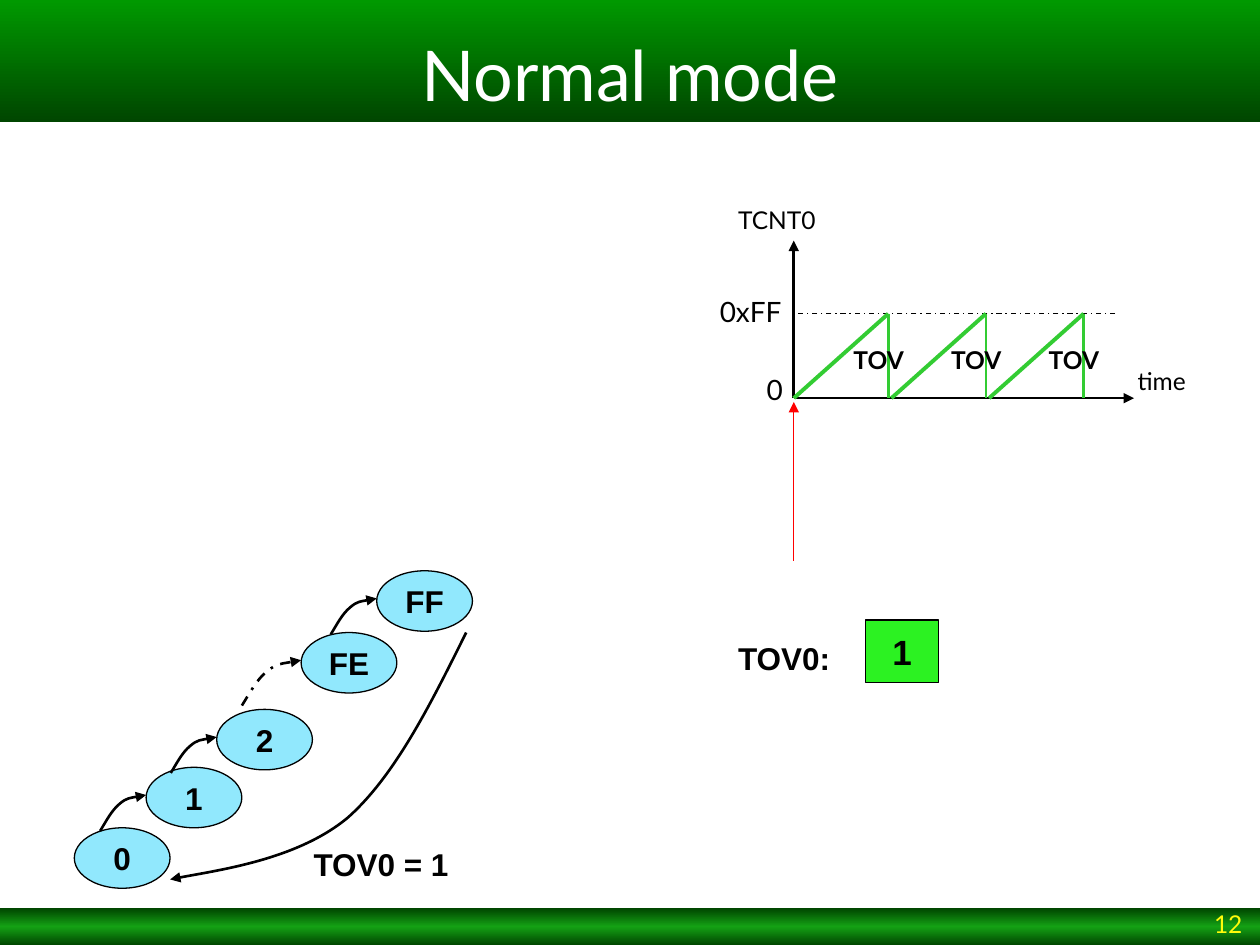
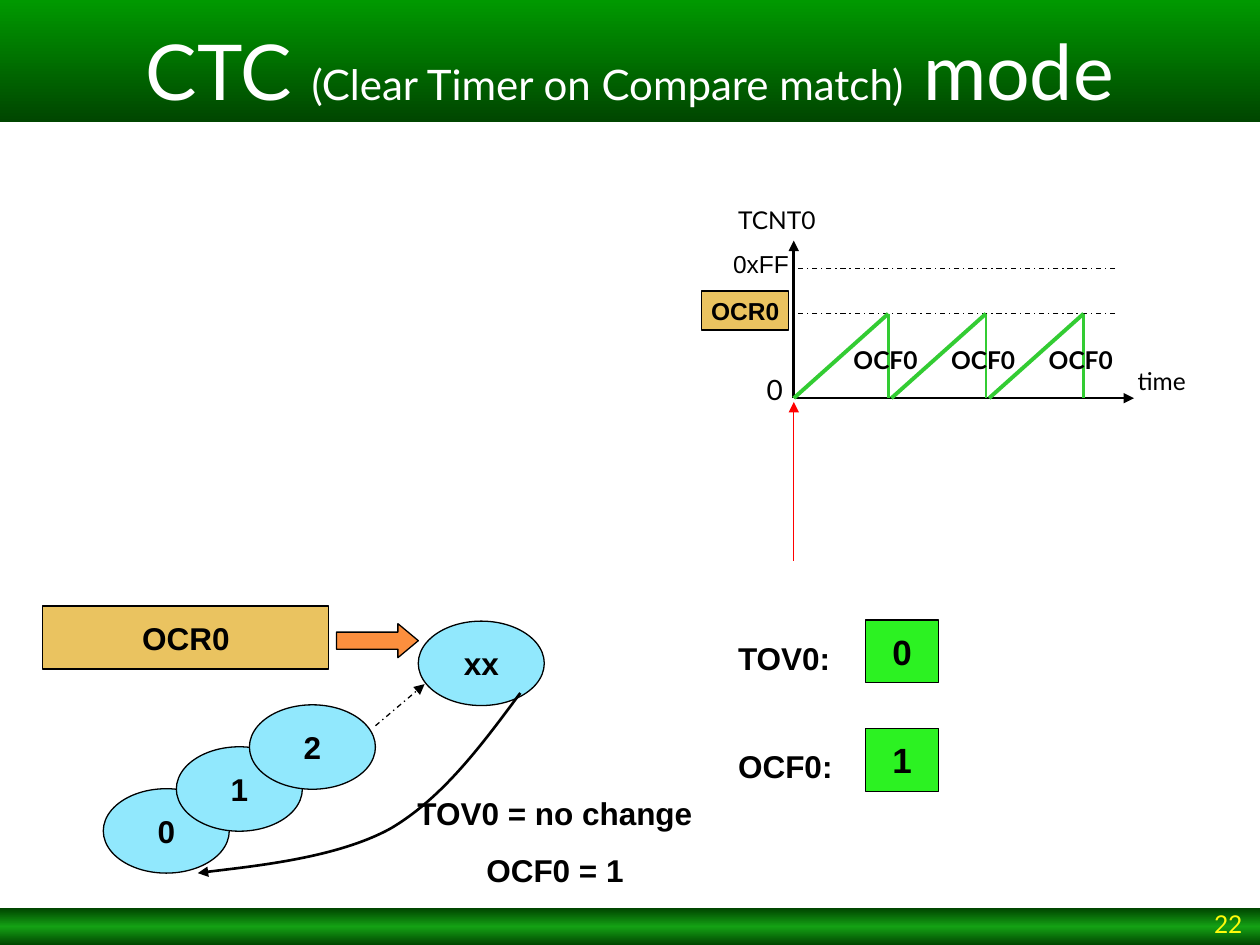
from copy import deepcopy
from dataclasses import dataclass

from lxml import etree
from pptx import Presentation
from pptx import util as u
from pptx.dml.color import RGBColor
from pptx.enum import dml, shapes, text
from pptx.oxml.ns import qn

# The slide is a grid of 100 columns and 75 rows; every length is in cells.
CELL = u.Inches(0.1)
COLUMNS, ROWS = 100, 75

BLACK = RGBColor(0x00, 0x00, 0x00)
WHITE = RGBColor(0xFF, 0xFF, 0xFF)
RED = RGBColor(0xFF, 0x00, 0x00)
YELLOW = RGBColor(0xFF, 0xFB, 0x0B)
BAND_GREEN = RGBColor(0x00, 0x99, 0x00)
BAND_GLOW = RGBColor(0x14, 0xA1, 0x14)
BAND_DARK = RGBColor(0x00, 0x46, 0x00)
RAMP_GREEN = RGBColor(0x33, 0xCC, 0x33)
FLAG_GREEN = RGBColor(0x2C, 0xF2, 0x22)
STATE_BLUE = RGBColor(0x91, 0xE8, 0xFD)
REGISTER_GOLD = RGBColor(0xEA, 0xC3, 0x60)
ARROW_ORANGE = RGBColor(0xFC, 0x8F, 0x3E)

HEAD_FONT, BODY_FONT = "Lato", "Arial"
LEFT, CENTER, RIGHT = text.PP_ALIGN.LEFT, text.PP_ALIGN.CENTER, text.PP_ALIGN.RIGHT
MIDDLE, BOTTOM = text.MSO_ANCHOR.MIDDLE, text.MSO_ANCHOR.BOTTOM
KIND = shapes.MSO_SHAPE

# Curves as shares of their box: a start, then three points per Bezier piece.
HOP = [(0, 1), (0.14, 0.71), (0.25, 0.43), (0.42, 0.25),
       (0.58, 0.07), (0.89, 0.03), (1, 0)]
RETURN = [(1, 0), (0.88, 0.29), (0.76, 0.58), (0.6, 0.75),
          (0.43, 0.92), (0.12, 0.97), (0, 1)]


@dataclass
class Box:
    left: float
    top: float
    width: float
    height: float

    def inset(self, x, y, width, height):
        """A box whose corner is x, y cells from this one's corner."""
        return Box(self.left + x, self.top + y, width, height)

    def point(self, x, y):
        return self.left + x, self.top + y

    def emu(self):
        return [cells(v) for v in (self.left, self.top, self.width, self.height)]


def cells(count):
    return round(count * CELL)


def write(frame, *paragraphs, size=18, font=BODY_FONT, color=BLACK, bold=False,
          align=LEFT, anchor=text.MSO_ANCHOR.TOP, wrap=True, before=0):
    """Fill a frame; a paragraph is a string or a list of (string, size) runs."""
    frame.word_wrap = wrap
    frame.vertical_anchor = anchor
    for i, content in enumerate(paragraphs):
        line = frame.add_paragraph() if i else frame.paragraphs[0]
        line.alignment = align
        line.space_before = u.Pt(before)
        runs = [(content, size)] if isinstance(content, str) else content
        for words, run_size in runs:
            run = line.add_run()
            run.text = words
            run.font.size = u.Pt(run_size)
            run.font.name = font
            run.font.bold = bold
            run.font.color.rgb = color


def label(slide, box, *paragraphs, size=18, **style):
    frame = slide.shapes.add_textbox(*box.emu()).text_frame
    write(frame, *paragraphs, size=size, before=0.625 * size, **style)


def block(slide, kind, box, fill, caption=None, size=18):
    """A filled, thinly outlined shape with an optional bold caption."""
    shape = slide.shapes.add_shape(kind, *box.emu())
    shape.shadow.inherit = False
    shape.fill.solid()
    shape.fill.fore_color.rgb = fill
    shape.line.color.rgb = BLACK
    shape.line.width = u.Pt(0.75)
    if caption:
        write(shape.text_frame, caption, size=size, bold=True, align=CENTER,
              anchor=MIDDLE, wrap=False)
    return shape


def band(slide, box, colors):
    """A strip shaded from top to bottom through evenly spaced colours."""
    strip = slide.shapes.add_shape(KIND.RECTANGLE, *box.emu())
    strip.shadow.inherit = False
    strip.line.fill.background()
    strip.fill.gradient()
    strip.fill.gradient_angle = 270
    stops = strip.element.xpath(".//a:gsLst")[0]
    for _ in colors[2:]:
        stops.append(deepcopy(stops[0]))
    for i, (stop, color) in enumerate(zip(strip.fill.gradient_stops, colors)):
        stop.color.rgb = color
        stop.position = i / (len(colors) - 1)
    return strip


def stroke(shape, color, width, dashed, arrow):
    shape.line.color.rgb = color
    shape.line.width = u.Pt(width)
    if dashed:
        shape.line.dash_style = dml.MSO_LINE.DASH_DOT
    if arrow:
        outline = shape.element.spPr.find(qn("a:ln"))
        etree.SubElement(outline, qn("a:tailEnd"), type="triangle")


def line(slide, start, end, color=BLACK, width=1.5, dashed=False, arrow=False):
    ends = [cells(v) for v in (*start, *end)]
    connector = slide.shapes.add_connector(shapes.MSO_CONNECTOR.STRAIGHT, *ends)
    stroke(connector, color, width, dashed, arrow)
    etree.SubElement(connector.element.spPr, qn("a:effectLst"))


def curve(slide, box, shares, dashed=False):
    """An arrow along Bezier pieces given as shares of the box."""
    start, *rest = [tuple(map(cells, box.point(x * box.width, y * box.height)))
                    for x, y in shares]
    builder = slide.shapes.build_freeform(*start)
    builder.add_line_segments(rest, close=False)
    shape = builder.convert_to_shape()
    segments = shape.element.xpath(".//a:lnTo")
    for i in range(0, len(segments), 3):
        bezier = etree.Element(qn("a:cubicBezTo"))
        segments[i].addprevious(bezier)
        for segment in segments[i:i + 3]:
            bezier.append(segment[0])
            segment.getparent().remove(segment)
    shape.shadow.inherit = False
    shape.fill.background()
    stroke(shape, BLACK, 1.5, dashed, True)


def frame_slide(deck, title, size, number):
    """A blank slide with the title band and the numbered footer band."""
    slide = deck.slides.add_slide(deck.slide_layouts[6])
    footer = Box(0, 72.1, COLUMNS, 2.9)
    band(slide, footer, [BAND_DARK, BAND_GLOW, BAND_DARK])
    header = band(slide, Box(0, 0, COLUMNS, 9.7), [BAND_GREEN, BAND_DARK])
    write(header.text_frame, title, size=size, font=HEAD_FONT, color=WHITE,
          align=CENTER, anchor=BOTTOM)
    page = slide.shapes.add_textbox(*footer.inset(78.3, 0.1, 21.3, 2.8).emu())
    write(page.text_frame, number, size=14, font=HEAD_FONT, color=YELLOW,
          align=RIGHT, anchor=BOTTOM)
    return slide


def timing_graph(slide, box, event):
    """Counter value over time: three ramps, each ending in the named event."""
    base, peak = box.height, 5.8
    origin = box.point(0, base)
    line(slide, origin, box.point(box.width, base), arrow=True)
    line(slide, origin, box.point(0, 0), arrow=True)
    level_line(slide, box, peak)
    period, rise = 7.75, 7.5
    for start in (i * period for i in range(3)):
        top = box.point(start + rise, peak)
        line(slide, box.point(start, base), top, RAMP_GREEN, 2.25)
        line(slide, box.point(start + rise, base), top, RAMP_GREEN)
        label(slide, box.inset(start + rise / 2, 7.8, 11.7, 3.4), event,
              size=14, font=HEAD_FONT, bold=True)
    label(slide, box.inset(-5.4, -3.3, 9.2, 3.4), "TCNT0", size=14, font=HEAD_FONT)
    label(slide, box.inset(26.3, 9.5, 9.2, 3.4), "time", size=14, font=HEAD_FONT)
    label(slide, box.inset(-4.1, 10, 4.2, 3.7), "0", size=16, font=HEAD_FONT,
          align=RIGHT)
    line(slide, box.point(0, base + 12.9), box.point(0, base + 0.3), RED, 0.75,
         arrow=True)


def level_line(slide, box, y):
    line(slide, box.point(25.5, y), box.point(0, y), width=0.75, dashed=True)


def flags(slide, box, values):
    """Rows of a flag name and its value."""
    for i, (name, value) in enumerate(values.items()):
        row = box.inset(0, i * 8.6, box.width, box.height)
        label(slide, row.inset(0, 1, 11, 4), name, bold=True)
        block(slide, KIND.RECTANGLE, row.inset(11.1, 0, 5.8, 5), FLAG_GREEN, value, 20)


def overflow_states(slide, box):
    """Counting from 0 up to FF, then back to 0."""
    states = {"0": (0, 20.4), "1": (5.7, 15.6), "2": (11.3, 11),
              "FE": (18, 4.9), "FF": (24, 0)}
    for name, (x, y) in states.items():
        block(slide, KIND.OVAL, box.inset(x, y, 7.6, 4.8), STATE_BLUE, name)
    for name, (x, y) in list(states.items())[1:]:
        skips = name == "FE"
        width, height = (4.7, 3.6) if skips else (3.65, 2.85)
        curve(slide, box.inset(x - width, y + 2.2, width, height), HOP, dashed=skips)
    curve(slide, box.inset(7.6, 4.9, 23.5, 19.6), RETURN)
    label(slide, box.inset(18, 21.3, 13.4, 4), "TOV0 = 1", bold=True)


def compare_states(slide, box):
    """Counting from 0 up to the value in OCR0, then back to 0."""
    for i in range(3):
        block(slide, KIND.OVAL, box.inset(5.8 * i, 13.3 - 3.33 * i, 10, 6.7),
              STATE_BLUE, str(i))
    block(slide, KIND.OVAL, box.inset(25, 0, 10, 6.7), STATE_BLUE, "xx")
    curve(slide, box.inset(7.5, 5.7, 25.6, 14.3), RETURN)
    line(slide, box.point(21.6, 8.3), box.point(25.5, 5), width=0.75,
         dashed=True, arrow=True)
    label(slide, box.inset(21.4, 13.2, 28.9, 8.6), "TOV0 = no change", "OCF0 = 1",
          bold=True, align=CENTER)
    block(slide, KIND.RECTANGLE, box.inset(-4.8, -1.2, 22.7, 5), REGISTER_GOLD, "OCR0")
    pointer = block(slide, KIND.RIGHT_ARROW, box.inset(18.5, 0.2, 6.5, 2.7),
                    ARROW_ORANGE)
    pointer.adjustments[1] = 0.6


def normal_mode(deck, graph, flag_rows):
    slide = frame_slide(deck, "Normal mode", 40, "12")
    timing_graph(slide, graph, "TOV")
    label(slide, graph.inset(-9.7, 3.8, 9.7, 3.7), "0xFF", size=16, font=HEAD_FONT,
          align=RIGHT)
    flags(slide, flag_rows, {"TOV0:": "1"})
    overflow_states(slide, Box(5.9, 45.3, 31.6, 25.2))


def ctc_mode(deck, graph, flag_rows):
    title = [("CTC ", 44), ("(Clear Timer on Compare match)", 24), (" mode", 44)]
    slide = frame_slide(deck, title, 44, "22")
    timing_graph(slide, graph, "OCF0")
    level_line(slide, graph, 2.2)
    label(slide, graph.inset(-7.2, 0.2, 7.8, 3.4), "0xFF", size=14, align=RIGHT)
    block(slide, KIND.RECTANGLE, graph.inset(-7.3, 4, 6.9, 3.1), REGISTER_GOLD,
          "OCR0", 14)
    flags(slide, flag_rows, {"TOV0:": "0", "OCF0:": "1"})
    compare_states(slide, Box(8.2, 49.3, 35, 20))


def main():
    deck = Presentation()
    deck.slide_width, deck.slide_height = COLUMNS * CELL, ROWS * CELL
    graph = Box(63, 19.1, 27, 12.5)
    flag_rows = Box(57.6, 49.2, 16.9, 5)
    normal_mode(deck, graph, flag_rows)
    ctc_mode(deck, graph, flag_rows)
    deck.save("out.pptx")


if __name__ == "__main__":
    main()
